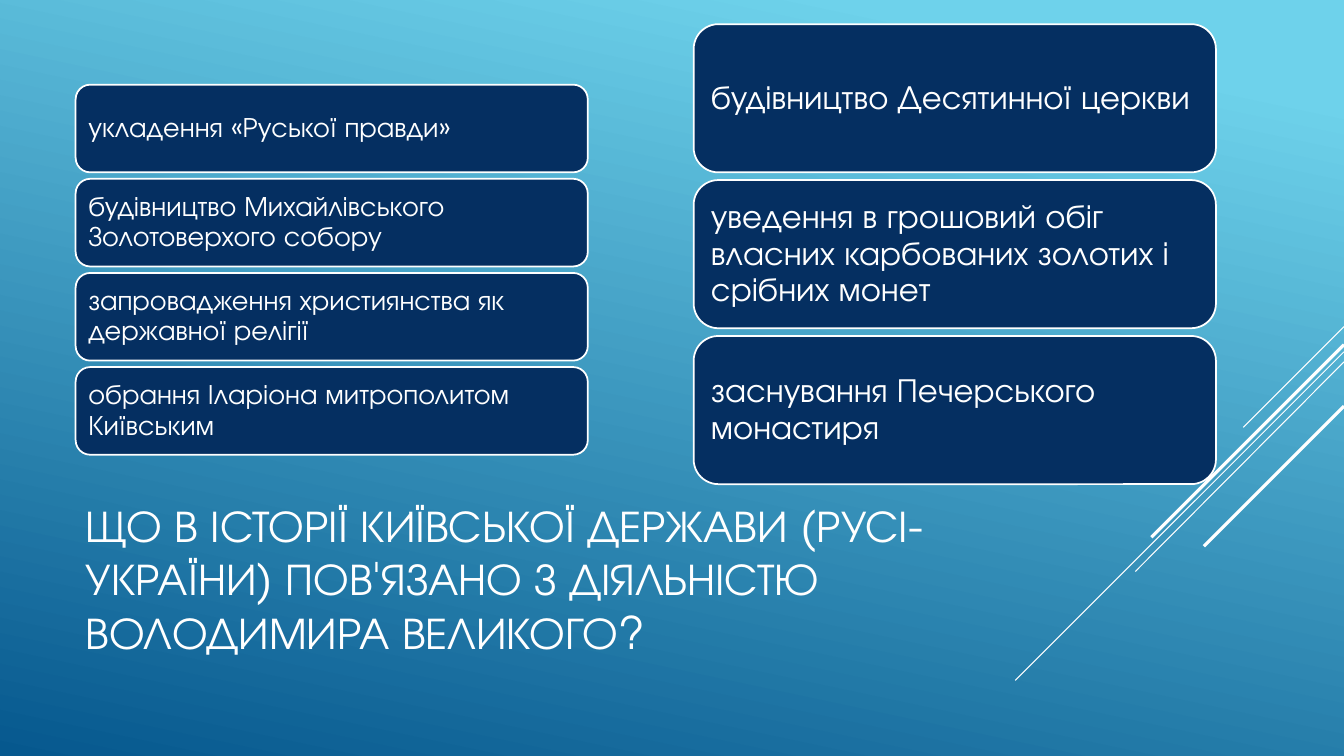
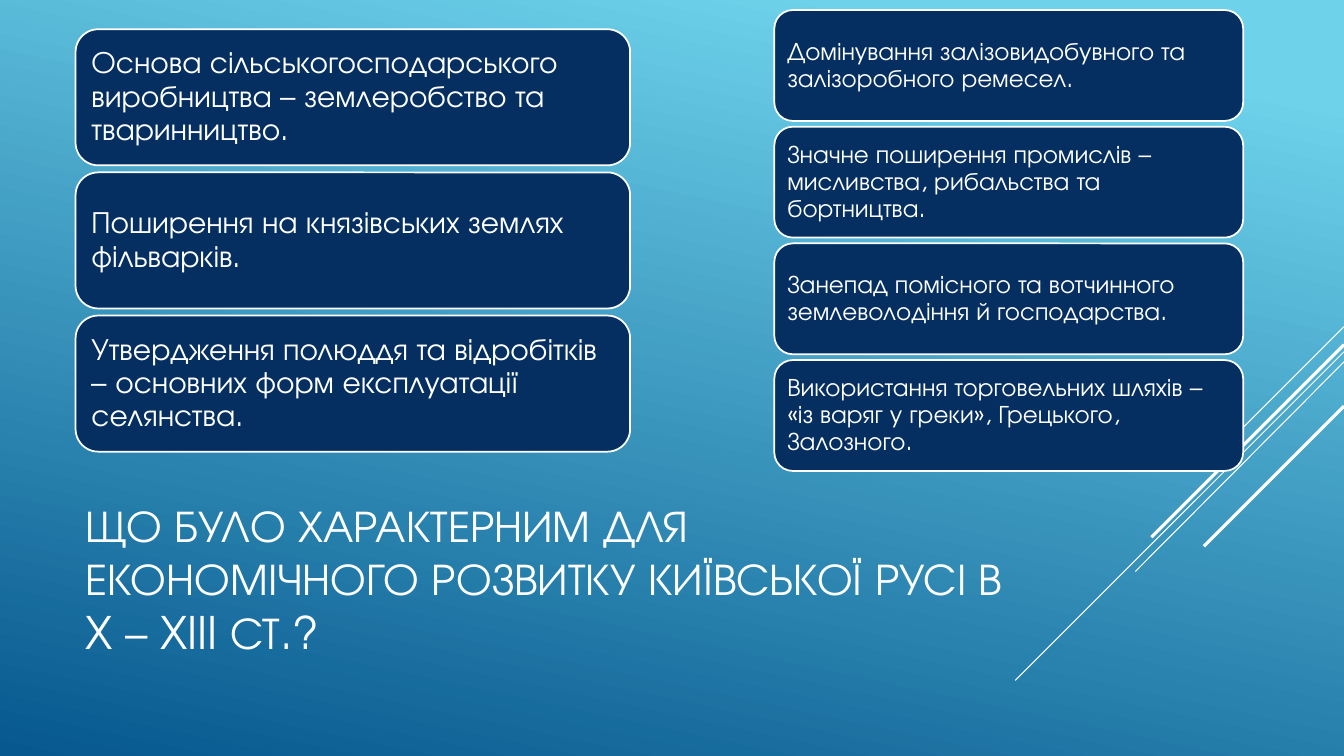
from lxml import etree
from pptx import Presentation
from pptx.dml.color import RGBColor
from pptx.enum.shapes import MSO_CONNECTOR, MSO_SHAPE
from pptx.enum.text import MSO_ANCHOR, MSO_AUTO_SIZE, PP_ALIGN
from pptx.oxml.ns import qn
from pptx.util import Inches, Pt

STRAIGHT = MSO_CONNECTOR.STRAIGHT
ROUNDED = MSO_SHAPE.ROUNDED_RECTANGLE
MIDDLE = MSO_ANCHOR.MIDDLE
NO_AUTOFIT = MSO_AUTO_SIZE.NONE
LEFT = PP_ALIGN.LEFT

FONT = "TeX Gyre Adventor"
WHITE = "FFFFFF"
NAVY = "052F61"
SKY = "6ED2EB"
OCEAN = "06588E"
SLIDE_WIDTH = 13.33
TITLE_ONLY = 5

DIAGONALS = [
    (3.24, 12.33, 4.24, 0.75),
    (3.49, 10.07, 6.75, 0.75),
    (3.59, 11.26, 5.67, 0.75),
    (3.42, 11.42, 5.33, 2.25),
    (4.03, 11.94, 5.42, 2.25),
]

SLIDES = [
    (
        "ЩО В ІСТОРІЇ КИЇВСЬКОЇ ДЕРЖАВИ (РУСІ-УКРАЇНИ) ПОВ'ЯЗАНО З ДІЯЛЬНІСТЮ ВОЛОДИМИРА ВЕЛИКОГО?",
        [
            (0.75, 0.84, 5.08, 0.87, 20, [
                "укладення «Руської правди»",
                "будівництво Михайлівського Золотоверхого собору",
                "запровадження християнства як державної релігії",
                "обрання Іларіона митрополитом Київським",
            ]),
            (6.88, 0.24, 5.18, 1.47, 24, [
                "будівництво Десятинної церкви",
                "уведення в грошовий обіг власних карбованих золотих і срібних монет",
                "заснування Печерського монастиря",
            ]),
        ],
    ),
    (
        "ЩО БУЛО ХАРАКТЕРНИМ ДЛЯ ЕКОНОМІЧНОГО РОЗВИТКУ КИЇВСЬКОЇ РУСІ В X – XIII СТ.?",
        [
            (0.75, 0.29, 5.5, 1.35, 22, [
                "Основа сільськогосподарського виробництва – землеробство та тваринництво.",
                "Поширення на князівських землях фільварків.",
                "Утвердження полюддя та відробітків – основних форм експлуатації селянства.",
            ]),
            (7.68, 0.1, 4.65, 1.1, 18, [
                "Домінування залізовидобувного та залізоробного ремесел.",
                "Значне поширення промислів – мисливства, рибальства та бортництва.",
                "Занепад помісного та вотчинного землеволодіння й господарства.",
                "Використання торговельних шляхів – «із варяг у греки», Грецького, Залозного.",
            ]),
        ],
    ),
]


def color(value):
    return RGBColor.from_string(value)


def format_text(frame, size, spacing):
    frame.word_wrap = True
    frame.auto_size = NO_AUTOFIT
    frame.vertical_anchor = MIDDLE
    para = frame.paragraphs[0]
    para.alignment = LEFT
    para.line_spacing = spacing
    para.font.name = FONT
    para.font.size = Pt(size)
    para.font.color.rgb = color(WHITE)


deck = Presentation()
deck.slide_width = Inches(SLIDE_WIDTH)
deck.slide_height = Inches(7.5)
master = deck.slide_master
layout = deck.slide_layouts[TITLE_ONLY]

backdrop = master.background.fill
backdrop.gradient()
backdrop.gradient_angle = 258
for stop, position, shade in zip(backdrop.gradient_stops, (0.1, 1), (SKY, OCEAN)):
    stop.position = position
    stop.color.rgb = color(shade)

layout_title = layout.placeholders[0]
layout_title.left, layout_title.top = Inches(0.75), Inches(4.91)
layout_title.width, layout_title.height = Inches(9.33), Inches(1.65)

pages = [deck.slides.add_slide(layout) for _ in SLIDES]

for number, (start_y, end_x, end_y, weight) in enumerate(DIAGONALS, 1):
    diagonal = pages[0].shapes.add_connector(
        STRAIGHT, Inches(SLIDE_WIDTH), Inches(start_y), Inches(end_x), Inches(end_y)
    )
    diagonal.name = f"Diagonal {number}"
    diagonal.line.color.rgb = color(WHITE)
    diagonal.line.width = Pt(weight)
    etree.SubElement(diagonal.element.spPr, qn("a:effectLst"))
    diagonal.element.nvCxnSpPr.cNvPr.id = 100 + number
    master.element.cSld.spTree.append(diagonal.element)

for page, (heading, columns) in zip(pages, SLIDES):
    page.shapes.title.text_frame.text = heading
    format_text(page.shapes.title.text_frame, 32, 1)

    for left, top, width, height, size, answers in columns:
        pitch = Inches(height) + Pt(size * 0.23)
        inset = Pt(size * 0.3)
        for row, answer in enumerate(answers):
            box = page.shapes.add_shape(
                ROUNDED, Inches(left), Inches(top) + row * pitch, Inches(width), Inches(height)
            )
            box.shadow.inherit = False
            box.fill.solid()
            box.fill.fore_color.rgb = color(NAVY)
            box.line.color.rgb = color(WHITE)
            box.line.width = Pt(1.25)
            frame = box.text_frame
            frame.text = answer
            frame.margin_left = frame.margin_right = inset
            frame.margin_top = frame.margin_bottom = inset
            format_text(frame, size, 0.9)

deck.save("out.pptx")
